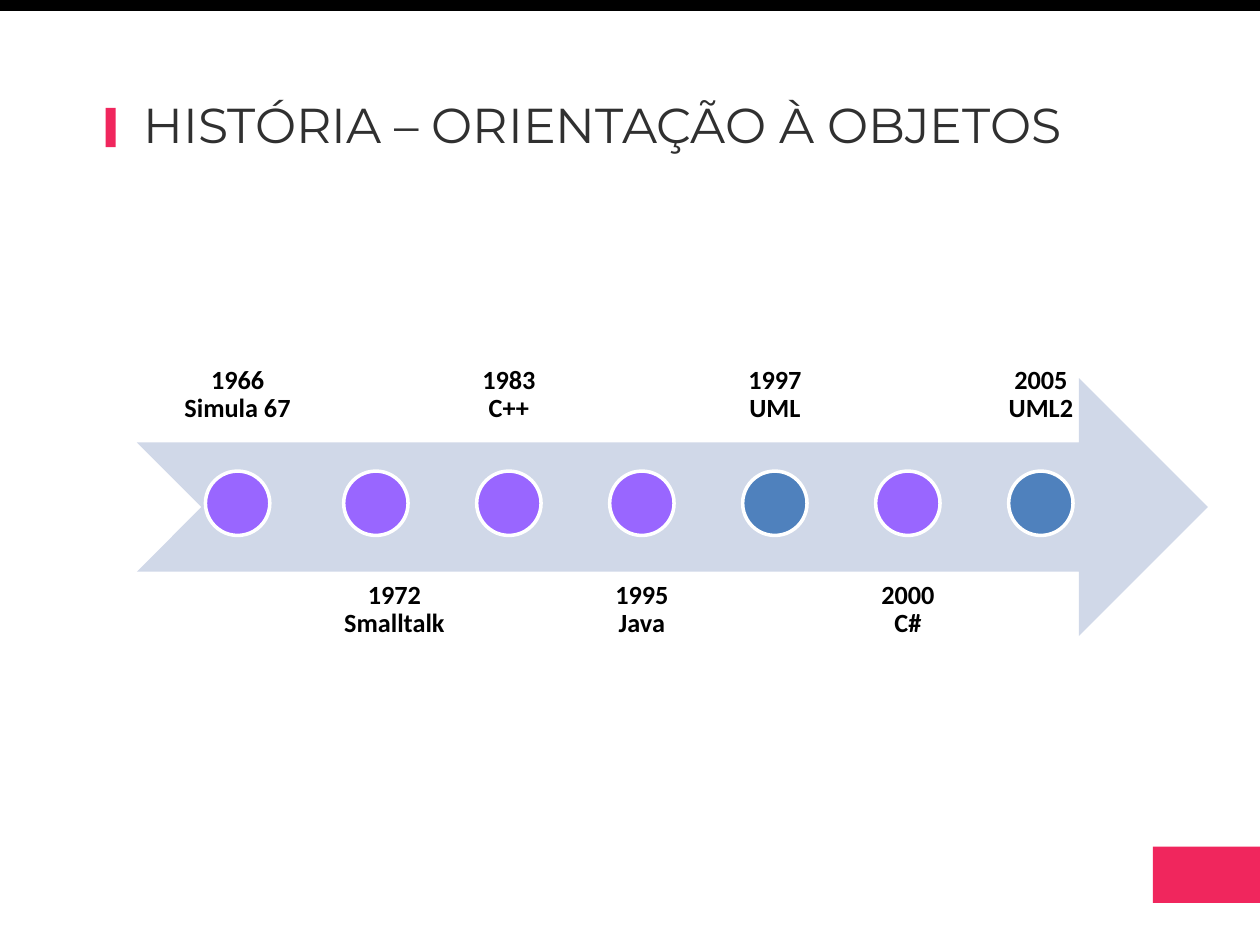
from pptx import Presentation
from pptx.dml.color import RGBColor
from pptx.enum.shapes import MSO_SHAPE
from pptx.enum.text import MSO_ANCHOR, PP_ALIGN
from pptx.util import Pt

RECT, OVAL = MSO_SHAPE.RECTANGLE, MSO_SHAPE.OVAL
ARROW = MSO_SHAPE.NOTCHED_RIGHT_ARROW
TOP, BOTTOM = MSO_ANCHOR.TOP, MSO_ANCHOR.BOTTOM
CENTER = PP_ALIGN.CENTER
PINK, PURPLE, BLUE = "F0265D", "9966FF", "4F81BD"


def color(value):
    return RGBColor.from_string(value)


def add_filled(kind, x, y, w, h, fill):
    sp = s.shapes.add_shape(kind, Pt(x), Pt(y), Pt(w), Pt(h))
    sp.shadow.inherit = False
    sp.fill.solid()
    sp.fill.fore_color.rgb = color(fill)
    sp.line.fill.background()
    return sp


prs = Presentation()
prs.slide_width, prs.slide_height = Pt(720), Pt(540)
s = prs.slides.add_slide(prs.slide_layouts[6])

# Title
tf = s.shapes.add_textbox(Pt(75), Pt(54), Pt(580), Pt(38)).text_frame
tf.word_wrap = True
p = tf.paragraphs[0]
p.line_spacing = 0.9
r = p.add_run()
r.text = "HISTÓRIA – ORIENTAÇÃO À OBJETOS"
r.font.name, r.font.size = "Montserrat", Pt(28)
r.font.color.rgb = color("303030")

# Title marker, top band and corner block
add_filled(RECT, 60.3, 61.7, 5.8, 22.4, PINK)
add_filled(RECT, 0, 0, 720, 6.3, "000000")
add_filled(RECT, 658.8, 483.8, 61.2, 32.2, PINK)

# Timeline arrow
add_filled(ARROW, 78.3, 216, 612, 147.5, "D0D8E8")

# Milestones: year, name, dot colour, dot centre, label centre, label width
FIRST, SECOND, STEP = 135.8, 214.8, 76
milestones = [
    ("1966", "Simula 67", PURPLE, FIRST, FIRST, 94),
    ("1972", "Smalltalk", PURPLE, SECOND, 225.4, 94),
]
later = [("1983", "C++", PURPLE), ("1995", "Java", PURPLE), ("1997", "UML", BLUE),
         ("2000", "C#", PURPLE), ("2005", "UML2", BLUE)]
for i, entry in enumerate(later, 1):
    center = SECOND + i * STEP
    milestones.append((*entry, center, center, 73))

DOT, LABEL_H = 36.8, 147.5
for i, (year, name, fill, center, label_center, width) in enumerate(milestones):
    # Labels alternate above and below the arrow
    above = i % 2 == 0
    tf = s.shapes.add_textbox(Pt(label_center - width / 2), Pt(103 if above else 324),
                              Pt(width), Pt(LABEL_H)).text_frame
    tf.word_wrap = True
    tf.vertical_anchor = BOTTOM if above else TOP
    tf.margin_left = tf.margin_right = tf.margin_top = tf.margin_bottom = Pt(8.4)
    p = tf.paragraphs[0]
    p.alignment, p.line_spacing, p.space_after = CENTER, 0.9, Pt(5.25)
    for text in (year, name):
        if text == name:
            p.add_line_break()
        r = p.add_run()
        r.text = text
        r.font.name, r.font.size, r.font.bold = "Calibri", Pt(15), True
        r.font.color.rgb = color("000000")

    dot = add_filled(OVAL, center - DOT / 2, 269.2, DOT, DOT, fill)
    dot.line.color.rgb = color("FFFFFF")
    dot.line.width = Pt(2)

prs.save("out.pptx")
